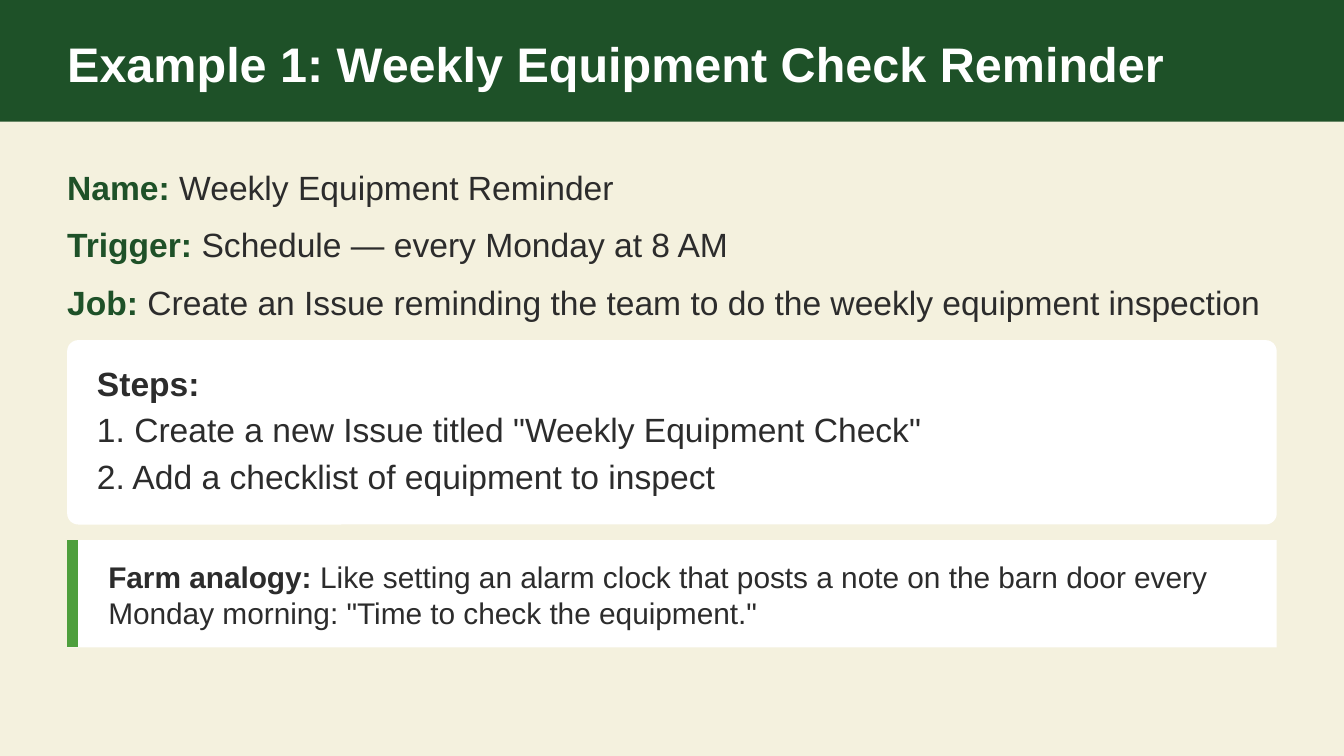
from dataclasses import dataclass

from lxml import etree
from pptx import Presentation
from pptx.dml.color import RGBColor
from pptx.enum.shapes import MSO_CONNECTOR, MSO_SHAPE
from pptx.enum.text import MSO_ANCHOR
from pptx.oxml.ns import qn
from pptx.util import Pt

RECTANGLE = MSO_SHAPE.RECTANGLE
ROUNDED = MSO_SHAPE.ROUNDED_RECTANGLE
STRAIGHT = MSO_CONNECTOR.STRAIGHT
TOP = MSO_ANCHOR.TOP


@dataclass(frozen=True)
class Theme:
    font: str = "Arial"
    cream: RGBColor = RGBColor(0xF4, 0xF1, 0xDE)
    forest: RGBColor = RGBColor(0x1E, 0x51, 0x28)
    leaf: RGBColor = RGBColor(0x4E, 0x9F, 0x3D)
    ink: RGBColor = RGBColor(0x2C, 0x2C, 0x2C)
    white: RGBColor = RGBColor(0xFF, 0xFF, 0xFF)
    title: int = 26
    body: int = 18
    note: int = 16


THEME = Theme()
MARGIN = 36
CARD_WIDTH = 648
TEXT_WIDTH = 661
LINE_HEIGHT = 20.7

FACTS = [
    ("Name:", " Weekly Equipment Reminder"),
    ("Trigger:", " Schedule — every Monday at 8 AM"),
    ("Job:", " Create an Issue reminding the team to do the weekly equipment inspection"),
]
STEPS = [
    ("Steps:", True),
    ('1. Create a new Issue titled "Weekly Equipment Check"', False),
    ("2. Add a checklist of equipment to inspect", False),
]
ANALOGY = (
    "Farm analogy:",
    " Like setting an alarm clock that posts a note on the barn door every "
    'Monday morning: "Time to check the equipment."',
)


def add_panel(slide, kind, box, color):
    panel = slide.shapes.add_shape(kind, *map(Pt, box))
    panel.shadow.inherit = False
    panel.fill.solid()
    panel.fill.fore_color.rgb = color
    panel.line.fill.background()
    return panel


def add_text(slide, box, size, runs, space_after=0):
    frame = slide.shapes.add_textbox(*map(Pt, box)).text_frame
    layout = {
        "word_wrap": True,
        "vertical_anchor": TOP,
        "margin_left": 0,
        "margin_top": 0,
        "margin_right": 0,
        "margin_bottom": 0,
    }
    for name, value in layout.items():
        setattr(frame, name, value)
    paragraph = frame.paragraphs[0]
    paragraph.space_after = Pt(space_after)
    for words, color, bold in runs:
        run = paragraph.add_run()
        run.text = words
        run.font.color.rgb = color
        style = {"name": THEME.font, "size": Pt(size), "bold": bold}
        for name, value in style.items():
            setattr(run.font, name, value)


def add_accent(slide, x, top, bottom, color, width):
    accent = slide.shapes.add_connector(STRAIGHT, Pt(x), Pt(top), Pt(x), Pt(bottom))
    accent.line.color.rgb = color
    accent.line.width = Pt(width)
    etree.SubElement(accent.element.spPr, qn("a:effectLst"))


def add_header(slide, title):
    add_panel(slide, RECTANGLE, (0, 0, 720, 65.2), THEME.forest)
    add_text(slide, (MARGIN, 18, TEXT_WIDTH, 29.9), THEME.title,
             [(title, THEME.white, True)])


def add_facts(slide, top, gap):
    for row, (label, detail) in enumerate(FACTS):
        add_text(slide, (MARGIN, top + row * (LINE_HEIGHT + gap), TEXT_WIDTH, LINE_HEIGHT),
                 THEME.body,
                 [(label, THEME.forest, True), (detail, THEME.ink, False)], gap)


def add_steps(slide, top, gap):
    card = add_panel(slide, ROUNDED, (MARGIN, top, CARD_WIDTH, 98.8), THEME.white)
    card.adjustments[0] = 0.06
    for row, (step, bold) in enumerate(STEPS):
        y = top + 12.2 + row * (LINE_HEIGHT + gap)
        add_text(slide, (52, y, 628.6, LINE_HEIGHT), THEME.body,
                 [(step, THEME.ink, bold)], gap)


def add_analogy(slide, top, height):
    label, detail = ANALOGY
    accent_width = 6
    add_panel(slide, RECTANGLE, (MARGIN, top, CARD_WIDTH, height), THEME.white)
    add_accent(slide, MARGIN + accent_width / 2, top, top + height,
               THEME.leaf, accent_width)
    add_text(slide, (58, top + 10, 622, height - 20), THEME.note,
             [(label, THEME.ink, True), (detail, THEME.ink, False)])


def main():
    deck = Presentation()
    deck.slide_width, deck.slide_height = Pt(720), Pt(405)
    slide = deck.slides.add_slide(deck.slide_layouts[6])
    slide.background.fill.solid()
    slide.background.fill.fore_color.rgb = THEME.cream
    add_header(slide, "Example 1: Weekly Equipment Check Reminder")
    add_facts(slide, top=89.3, gap=10.2)
    add_steps(slide, top=182.2, gap=4.1)
    add_analogy(slide, top=289.4, height=57.4)
    deck.save("out.pptx")


if __name__ == "__main__":
    main()
